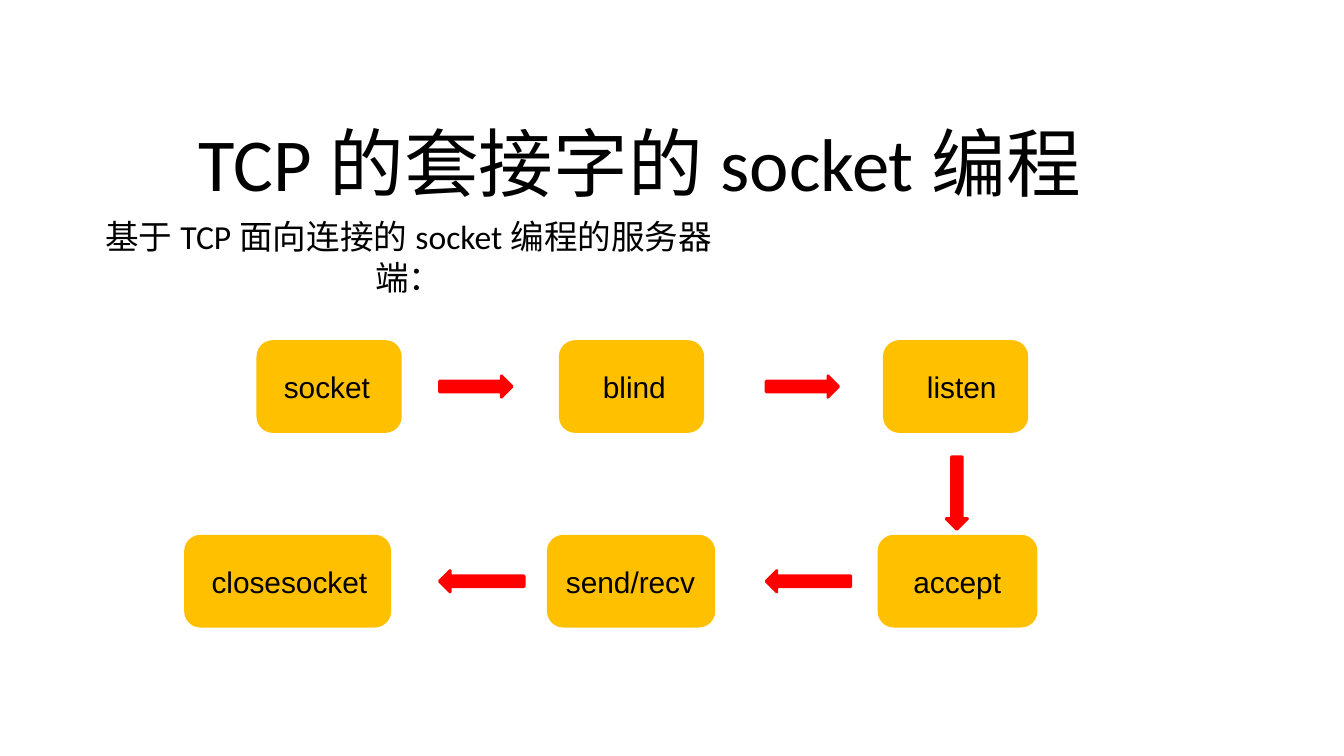
from pptx import Presentation
from pptx.util import Pt
from pptx.dml.color import RGBColor
from pptx.enum.shapes import MSO_SHAPE
from pptx.enum.text import MSO_ANCHOR, PP_ALIGN


def add_text(s, text, size=16, font="Arial", color="000000",
             align=PP_ALIGN.LEFT, left=7.2, right=7.2):
    tf = s.text_frame
    tf.word_wrap = True
    tf.vertical_anchor = MSO_ANCHOR.MIDDLE
    tf.margin_left, tf.margin_right = Pt(left), Pt(right)
    p = tf.paragraphs[0]
    p.alignment = align
    r = p.add_run()
    r.text = text
    r.font.size = Pt(size)
    r.font.name = font
    r.font.color.rgb = RGBColor.from_string(color)


def add_box(kind, x, y, w, h, color, line=1.5):
    s = sp.add_shape(kind, Pt(x), Pt(y), Pt(w), Pt(h))
    s.shadow.inherit = False
    s.fill.solid()
    s.fill.fore_color.rgb = RGBColor.from_string(color)
    s.line.color.rgb = RGBColor.from_string(color)
    s.line.width = Pt(line)
    return s


prs = Presentation()
prs.slide_width, prs.slide_height = Pt(720), Pt(405)
sp = prs.slides.add_slide(prs.slide_layouts[6]).shapes

# Title and subtitle
title = sp.add_textbox(Pt(99.4), Pt(52.6), Pt(534.2), Pt(67.7))
add_text(title, "TCP的套接字的socket编程", size=40, font="Calibri")
subtitle = add_box(MSO_SHAPE.RECTANGLE, 41.8, 120.2, 354.2, 34.6, "FFFFFF", line=2)
add_text(subtitle, "基于TCP面向连接的socket编程的服务器端：", size=18,
         font="Calibri", align=PP_ALIGN.CENTER)

# Steps: text, left, row top, width, left text margin
TOP, BOTTOM, STEP_H = 183, 287.3, 48.2
steps = [
    ("socket", 138.2, TOP, 76.3, 11.6),
    ("blind", 300.2, TOP, 76.3, 20.5),
    ("listen", 473.8, TOP, 76.3, 20.5),
    ("accept", 470.9, BOTTOM, 84.2, 16.1),
    ("send/recv", 293.8, BOTTOM, 88.6, 7.2),
    ("closesocket", 99.4, BOTTOM, 109.4, 11.6),
]
for text, x, y, w, margin in steps:
    s = add_box(MSO_SHAPE.FLOWCHART_ALTERNATE_PROCESS, x, y, w, STEP_H, "FFC000")
    add_text(s, text, left=margin, right=0)

# Block arrows: centre x, centre y, length, rotation
ARROW_H = 11.5
top_mid, bottom_mid = TOP + STEP_H / 2, BOTTOM + STEP_H / 2
arrows = [
    (254.9, top_mid, 38.9, 0),
    (429.9, top_mid, 38.9, 0),
    (512.6, 264.2, 38.9, 90),
    (433.1, bottom_mid, 45.4, 180),
    (258.1, bottom_mid, 45.4, 180),
]
for cx, cy, length, rotation in arrows:
    s = add_box(MSO_SHAPE.RIGHT_ARROW, cx - length / 2, cy - ARROW_H / 2,
                length, ARROW_H, "FF0000")
    s.rotation = rotation

prs.save("out.pptx")
